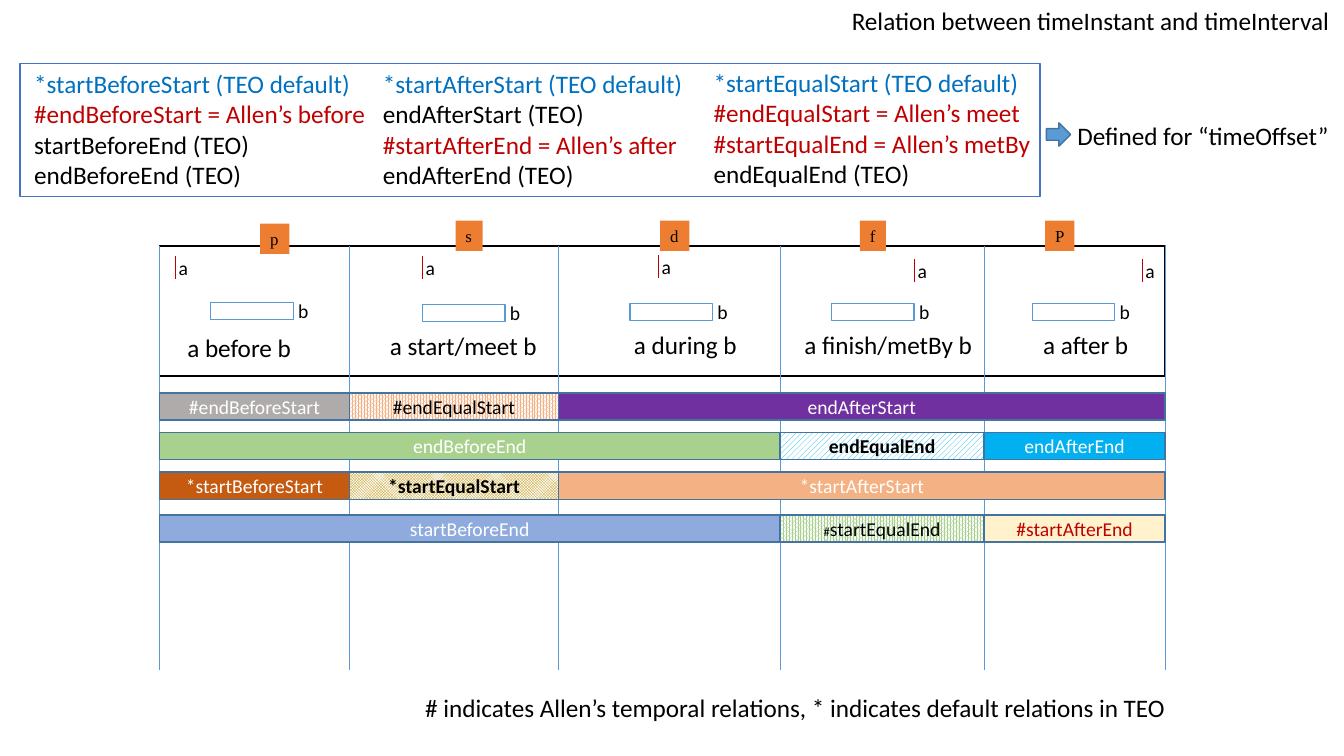
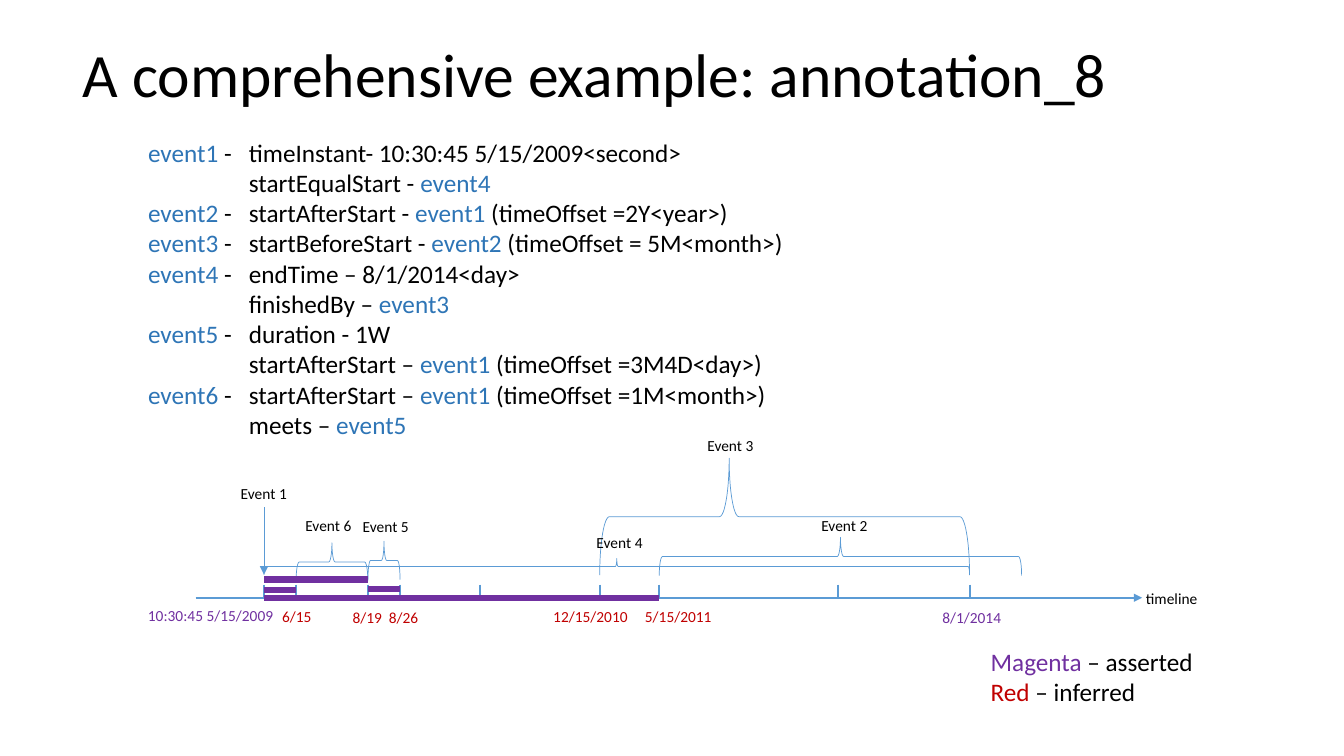
"""Build two slides on temporal relations: a relation matrix and an annotated timeline."""
from lxml import etree
from pptx import Presentation
from pptx.dml.color import RGBColor
from pptx.enum.dml import MSO_PATTERN
from pptx.enum.shapes import MSO_CONNECTOR, MSO_SHAPE
from pptx.enum.text import MSO_ANCHOR, MSO_AUTO_SIZE, PP_ALIGN
from pptx.oxml.ns import qn
from pptx.util import Pt

RECT, ARROW, BRACE = MSO_SHAPE.RECTANGLE, MSO_SHAPE.RIGHT_ARROW, MSO_SHAPE.RIGHT_BRACE
STRAIGHT = MSO_CONNECTOR.STRAIGHT
TOP, MIDDLE = MSO_ANCHOR.TOP, MSO_ANCHOR.MIDDLE
LEFT, CENTER = PP_ALIGN.LEFT, PP_ALIGN.CENTER
NO_FIT = MSO_AUTO_SIZE.NONE
DIAGONAL, CHECKER = MSO_PATTERN.WIDE_UPWARD_DIAGONAL, MSO_PATTERN.SMALL_CHECKER_BOARD
DOTS = MSO_PATTERN.PERCENT_80
TITLE_CONTENT, TITLE_ONLY = 1, 5

COLORS = {
    "black": "000000", "white": "FFFFFF", "blue": "5B9BD5", "edge": "43739E",
    "frame": "4472C4", "red": "C00000", "default": "0070C0", "event": "2E75B6",
    "purple": "7030A0", "orange": "ED7D31", "gray": "AFABAB", "green": "A9D18E",
    "rust": "C55A11", "periwinkle": "8FAADC", "cream": "FFF2CC", "cyan": "00B0F0",
    "peach": "F4B183", "gold": "BF9000",
}


def rgb(name):
    return RGBColor.from_string(COLORS[name])


def marked(text, accent, base="black"):
    parts = enumerate(text.split("|"))
    return [(part, accent if i % 2 else base) for i, part in parts if part]


class Deck:
    def __init__(self):
        self.prs = Presentation()
        self.prs.slide_width, self.prs.slide_height = Pt(960), Pt(540)
        self.s = None

    def slide(self, layout):
        self.s = self.prs.slides.add_slide(self.prs.slide_layouts[layout])

    def set_text(self, sp, paras, size=18, align=LEFT, anchor=TOP, wrap=False,
                 spacing=1.0, font="Calibri", bold=False):
        tf = sp.text_frame
        frame = {"auto_size": NO_FIT, "word_wrap": wrap, "vertical_anchor": anchor}
        for key, value in frame.items():
            setattr(tf, key, value)
        para = {"alignment": align, "line_spacing": spacing, "space_before": Pt(0)}
        for i, runs in enumerate(paras):
            p = tf.add_paragraph() if i else tf.paragraphs[0]
            for key, value in para.items():
                setattr(p, key, value)
            for text, color, *own in runs:
                r = p.add_run()
                r.text = text
                style = {"name": font, "size": Pt(own[0] if own else size), "bold": bold}
                for key, value in style.items():
                    setattr(r.font, key, value)
                r.font.color.rgb = rgb(color)
        return sp

    def place(self, sp, x, y, w, h):
        sp.left, sp.top, sp.width, sp.height = Pt(x), Pt(y), Pt(w), Pt(h)
        return sp

    def title(self, x, y, w, h, text, **style):
        sp = self.place(self.s.shapes.title, x, y, w, h)
        self.set_text(sp, [[(text, "black")]], **style)

    def body(self, x, y, w, h, paras):
        sp = self.place(self.s.placeholders[1], x, y, w, h)
        self.set_text(sp, paras)
        for p in sp.text_frame.paragraphs:
            ppr = p._p.get_or_add_pPr()
            for key, value in {"marL": 0, "indent": 0, "defTabSz": Pt(72)}.items():
                ppr.set(key, str(value))
            etree.SubElement(ppr, qn("a:buNone"))

    def text(self, x, y, w, h, paras, **style):
        sp = self.s.shapes.add_textbox(Pt(x), Pt(y), Pt(w), Pt(h))
        return self.set_text(sp, paras, **style)

    def label(self, x, y, w, h, text, color="black", **style):
        return self.text(x, y, w, h, [[(text, color)]], **style)

    def shape(self, kind, x, y, w, h, fill=None, line="edge", width=1, pattern=None):
        sp = self.s.shapes.add_shape(kind, Pt(x), Pt(y), Pt(w), Pt(h))
        sp.shadow.inherit = False
        if pattern is not None:
            sp.fill.patterned()
            sp.fill.pattern = pattern
            sp.fill.fore_color.rgb, sp.fill.back_color.rgb = rgb(fill), rgb("white")
        elif fill:
            sp.fill.solid()
            sp.fill.fore_color.rgb = rgb(fill)
        else:
            sp.fill.background()
        sp.line.color.rgb, sp.line.width = rgb(line), Pt(width)
        return sp

    def line(self, x1, y1, x2, y2, color="blue", width=0.5, arrow=False):
        sp = self.s.shapes.add_connector(STRAIGHT, Pt(x1), Pt(y1), Pt(x2), Pt(y2))
        sp.line.color.rgb, sp.line.width = rgb(color), Pt(width)
        spPr = sp._element.spPr
        if arrow:
            etree.SubElement(spPr.get_or_add_ln(), qn("a:tailEnd"), type="triangle")
        etree.SubElement(spPr, qn("a:effectLst"))

    def brace(self, x1, x2, y, depth, tip=0.5):
        span = x2 - x1
        sp = self.shape(BRACE, (x1 + x2 - depth) / 2, y + (depth - span) / 2,
                        depth, span, line="blue", width=0.5)
        sp.rotation = 270
        sp.adjustments[0], sp.adjustments[1] = 0.083, tip


def relations_slide(deck):
    deck.slide(TITLE_ONLY)
    edges = [113.8, 249.8, 398.9, 557.3, 703, 832.3]
    top, bottom = 175.7, 478.8
    deck.title(601.2, 0, 364.3, 28.8, "Relation between timeInstant and timeInterval")
    deck.shape(RECT, edges[0], top, edges[-1] - edges[0], 92.9, "white", "black")
    for x in edges:
        deck.line(x, top, x, bottom)

    cases = [
        ("p", 185.8, 159.8, 20.9, 125.3, 182.9, 150.5, 216, "a before b", 126.7, 234, 89.3),
        ("s", 325.4, 157.7, 19.4, 301.7, 182.9, 301.7, 217.4,
         "a start/meet b", 271.4, 232.6, 121),
        ("d", 471.6, 157.7, 20.9, 470.2, 182.2, 450, 216.7, "a during b", 445.7, 231.8, 89.3),
        ("f", 614.2, 157.7, 18.7, 653, 185, 594, 216.7,
         "a finish/metBy b", 567.4, 231.8, 136.1),
        ("P", 746.6, 157.7, 20.9, 815.8, 185, 737.3, 216.7, "a after b", 738, 231.8, 76.3),
    ]
    for code, cx, cy, cw, ax, ay, bx, by, relation, rx, ry, rw in cases:
        deck.line(ax, ay, ax, ay + 16.6, "red")
        deck.label(ax - 4.7, ay - 3.8, 21.6, 24.5, "a", size=14)
        deck.shape(RECT, bx, by, 59, 12.2, "white", "blue")
        deck.label(bx + 55.4, by - 5.8, 22.3, 24.5, "b", size=14)
        deck.label(rx, ry, rw, 28.8, relation)
        tag = deck.label(cx, cy, cw, 21.6, code, size=12, font="Times New Roman")
        tag.fill.solid()
        tag.fill.fore_color.rgb = rgb("orange")

    rows = [
        (280.8, [(0, 1, "#endBeforeStart", "gray", "white", None, False),
                 (2, 5, "endAfterStart", "purple", "white", None, False),
                 (1, 2, "#endEqualStart", "peach", "black", DOTS, False)]),
        (308.9, [(0, 3, "endBeforeEnd", "green", "white", None, False),
                 (4, 5, "endAfterEnd", "cyan", "white", None, False),
                 (3, 4, "endEqualEnd", "cyan", "black", DIAGONAL, True)]),
        (337.3, [(0, 1, "*startBeforeStart", "rust", "white", None, False),
                 (2, 5, "*startAfterStart", "peach", "white", None, False),
                 (1, 2, "*startEqualStart", "gold", "black", CHECKER, True)]),
        (367.9, [(0, 3, "startBeforeEnd", "periwinkle", "white", None, False),
                 (4, 5, "#startAfterEnd", "cream", "red", None, False),
                 (3, 4, "#|startEqualEnd", "green", "black", DOTS, False)]),
    ]
    for y, cells in rows:
        for first, last, text, fill, color, pattern, bold in cells:
            sp = deck.shape(RECT, edges[first], y, edges[last] - edges[first], 19.4,
                            fill, pattern=pattern)
            *small, main_part = text.split("|")
            runs = [(part, color, 9) for part in small] + [(main_part, color)]
            deck.set_text(sp, [runs], size=14, align=CENTER, anchor=MIDDLE, wrap=True, bold=bold)

    deck.shape(RECT, 14.4, 45.4, 728.6, 95, "white", "frame")
    lists = [
        (17.3, 45.4, 254.2, ["*startBeforeStart (TEO default)",
                             "#endBeforeStart = Allen’s before",
                             "startBeforeEnd (TEO)", "endBeforeEnd (TEO)"]),
        (266.4, 45.4, 254.2, ["*startAfterStart (TEO default)", "endAfterStart (TEO)",
                              "#startAfterEnd = Allen’s after", "endAfterEnd (TEO)"]),
        (502.6, 44.6, 242.6, ["*startEqualStart (TEO default)",
                              "#endEqualStart = Allen’s meet",
                              "#startEqualEnd = Allen’s metBy", "endEqualEnd (TEO)"]),
    ]
    kinds = {"*": "default", "#": "red"}
    for x, y, w, items in lists:
        deck.text(x, y, w, 94.3, [[(t, kinds.get(t[0], "black"))] for t in items])
    deck.shape(ARROW, 747.4, 87.8, 17.3, 16.6, "blue")
    deck.label(762.5, 82.1, 195.8, 28.8, "Defined for “timeOffset”")
    deck.label(296.6, 491, 545.8, 28.8,
               "# indicates Allen’s temporal relations, * indicates default relations in TEO")


def timeline_slide(deck):
    deck.slide(TITLE_CONTENT)
    deck.title(51.8, 2.9, 828, 104.4, "A comprehensive example: annotation_8",
               size=44, anchor=MIDDLE, spacing=0.9, wrap=True)
    facts = [
        "|event1| - \ttimeInstant- 10:30:45 5/15/2009<second>",
        "\tstartEqualStart - |event4|",
        "|event2| - \tstartAfterStart - |event1| (timeOffset =2Y<year>)",
        "|event3| - \tstartBeforeStart - |event2| (timeOffset = 5M<month>)",
        "|event4| -\tendTime – 8/1/2014<day>",
        "\tfinishedBy – |event3|",
        "|event5| -\tduration - 1W",
        "\tstartAfterStart – |event1 |(timeOffset =3M4D<day>)",
        "|event6| -\tstartAfterStart – |event1 |(timeOffset =1M<month>)",
        "\tmeets – |event5|",
    ]
    deck.body(98.6, 94.3, 473, 225.4, [marked(t, "event") for t in facts])

    axis = 427
    ticks = [188.6, 211.5, 262.8, 285.8, 342.7, 428.4, 470.9, 598.3, 692.6]
    start, june, aug19, aug26, _, dec, may, _, end = ticks
    for x in ticks:
        deck.line(x, axis - 9.4, x, axis, width=1.5)
    deck.line(139.7, axis, 811.4, axis, width=1.5)
    deck.line(776.2, axis, 815.8, axis, arrow=True)
    deck.line(start, 362.2, start, 410.4, arrow=True)

    braces = [(may, 729.8, 383.8, 27.4, 0.5), (start, end, 398.9, 11.5, 0.5),
              (dec, end, 327.3, 83.5, 0.35), (aug19, aug26, 386.6, 27.4, 0.5),
              (june, aug19, 387.7, 27.4, 0.5)]
    for x1, x2, y, depth, tip in braces:
        deck.brace(x1, x2, y, depth, tip)

    spans = [(start, may, axis), (start, june, 421.2), (start, aug19, 414), (aug19, aug26, 420.5)]
    for x1, x2, y in spans:
        deck.line(x1, y, x2, y, "purple", 4.5)

    labels = [
        ("Event 1", 164.9, 342, 48.2, "black"), ("Event 2", 579.6, 365, 48.2, "black"),
        ("Event 3", 498.2, 308.2, 48.2, "black"), ("Event 4", 419, 377.3, 48.2, "black"),
        ("Event 5", 252, 365.8, 48.2, "black"), ("Event 6", 211, 365, 48.2, "black"),
        ("timeline", 811.4, 417.6, 51.8, "black"),
        ("10:30:45 5/15/2009", 98.6, 429.5, 105.8, "purple"),
        ("6/15", 194.4, 429.8, 36, "red"), ("8/19", 244.8, 430.6, 36, "red"),
        ("8/26", 270.7, 430.6, 36, "red"), ("12/15/2010", 388.1, 429.8, 68.4, "red"),
        ("5/15/2011", 453.6, 429.8, 62.6, "red"), ("8/1/2014", 666, 430.6, 56.9, "purple"),
    ]
    for text, x, y, w, color in labels:
        deck.label(x, y, w, 20.9, text, color, size=11)
    deck.text(700.6, 457.9, 162.7, 51.1, [marked("|Magenta| – asserted", "purple"),
                                          marked("|Red| – inferred", "red")])


def main():
    deck = Deck()
    relations_slide(deck)
    timeline_slide(deck)
    deck.prs.save("out.pptx")


if __name__ == "__main__":
    main()
